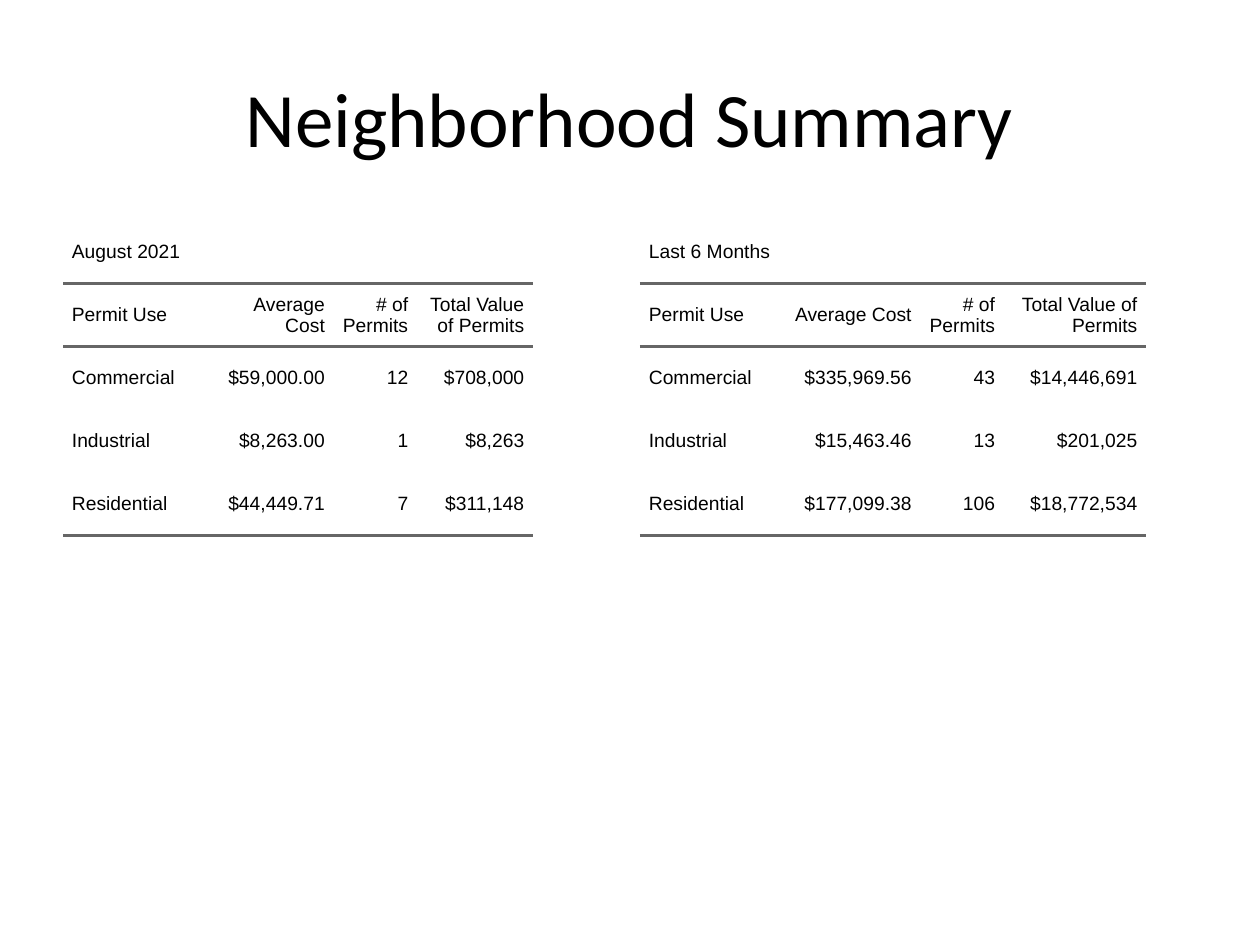
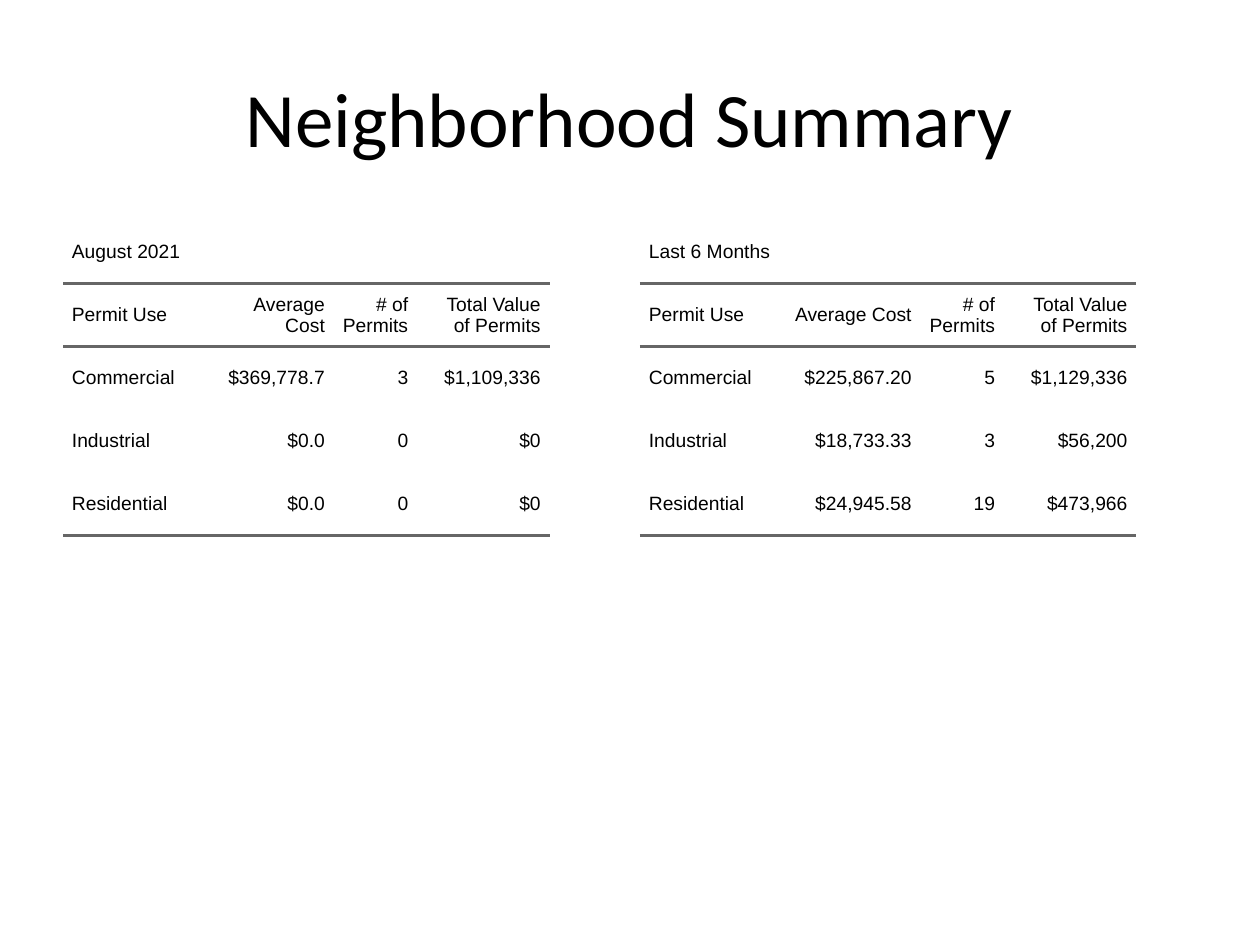
from lxml import etree
from pptx import Presentation, util as u
from pptx.dml.color import RGBColor
from pptx.enum import text
from pptx.oxml import ns

TITLE = "Neighborhood Summary"
HEADERS = ("Permit Use", "Average Cost", "# of Permits", "Total Value of Permits")
USES = ("Commercial", "Industrial", "Residential")
PERIODS = ("August 2021", "Last 6 Months")

# One entry per slide; each holds one table per period:
# widths of the cost and value columns in cm, then the figures for each use
SLIDES = [
    [
        ((2.67, 2.34), [("$59,000.00", "12", "$708,000"),
                        ("$8,263.00", "1", "$8,263"),
                        ("$44,449.71", "7", "$311,148")]),
        ((2.87, 2.87), [("$335,969.56", "43", "$14,446,691"),
                        ("$15,463.46", "13", "$201,025"),
                        ("$177,099.38", "106", "$18,772,534")]),
    ],
    [
        ((2.67, 2.67), [("$369,778.7", "3", "$1,109,336"),
                        ("$0.0", "0", "$0"),
                        ("$0.0", "0", "$0")]),
        ((2.87, 2.67), [("$225,867.20", "5", "$1,129,336"),
                        ("$18,733.33", "3", "$56,200"),
                        ("$24,945.58", "19", "$473,966")]),
    ],
]

COLORS = {"text": "000000", "rule": "666666"}
SLIDE_SIZE = (25.4, 19.05)
TITLE_BOX = (1.27, 0.76, 22.86, 3.18)
TABLE_LEFTS = (1.27, 12.9)
TABLE_TOP = 4.45
ROW_HEIGHT = 1.27
USE_WIDTH, COUNT_WIDTH = 2.79, 1.68
INDENT = 0.18
RULE_WIDTH = u.Pt(2)
PLAIN_STYLE = "{2D5ABB26-0587-4C30-8999-92F81FD0307C}"


def add_text(para, words, font, size, align):
    para.alignment = align
    span = para.add_run()
    span.text = words
    span.font.name = font
    span.font.size = u.Pt(size)
    span.font.color.rgb = RGBColor.from_string(COLORS["text"])


def add_rule(cell, side):
    """Draw a border on one side of a cell: T for top, B for bottom."""
    properties = cell._tc.get_or_add_tcPr()
    line = etree.SubElement(properties, ns.qn(f"a:ln{side}"), w=str(RULE_WIDTH))
    fill = etree.SubElement(line, ns.qn("a:solidFill"))
    etree.SubElement(fill, ns.qn("a:srgbClr"), val=COLORS["rule"])


def fill_cell(cell, words, align, rules):
    cell.margin_left = cell.margin_right = cell.margin_top = cell.margin_bottom = 0
    cell.vertical_anchor = text.MSO_ANCHOR.MIDDLE
    for side in rules:
        add_rule(cell, side)
    cell.fill.background()
    if not words:
        return
    para = cell.text_frame.paragraphs[0]
    para.space_before = para.space_after = u.Pt(5)
    for side in ("marL", "marR"):
        para._p.get_or_add_pPr().set(side, str(u.Cm(INDENT)))
    add_text(para, words, "Arial", 11, align)


def add_permit_table(page, left, period, value_widths, figures):
    cost_width, value_width = value_widths
    widths = (USE_WIDTH, cost_width, COUNT_WIDTH, value_width)
    rows = [(period, "", "", ""), HEADERS]
    rows += [(use, *values) for use, values in zip(USES, figures)]
    table = page.shapes.add_table(
        len(rows), len(widths), u.Cm(left), u.Cm(TABLE_TOP),
        u.Cm(sum(widths)), u.Cm(ROW_HEIGHT * len(rows))).table
    table.first_row = table.horz_banding = False
    table._tbl.tblPr.find(ns.qn("a:tableStyleId")).text = PLAIN_STYLE
    for column, width in zip(table.columns, widths):
        column.width = u.Cm(width)
    table.cell(0, 0).merge(table.cell(0, len(widths) - 1))
    rules = {1: "TB", len(rows) - 1: "B"}
    for r, row in enumerate(rows):
        table.rows[r].height = u.Cm(ROW_HEIGHT)
        for c, words in enumerate(row):
            align = text.PP_ALIGN.RIGHT if c else text.PP_ALIGN.LEFT
            fill_cell(table.cell(r, c), words, align, rules.get(r, ""))


def add_title(page):
    box = page.shapes.title
    box.left, box.top, box.width, box.height = map(u.Cm, TITLE_BOX)
    box.text_frame.vertical_anchor = text.MSO_ANCHOR.MIDDLE
    add_text(box.text_frame.paragraphs[0], TITLE, "Calibri", 44, text.PP_ALIGN.CENTER)


def main():
    deck = Presentation()
    deck.slide_width, deck.slide_height = map(u.Cm, SLIDE_SIZE)
    title_only = deck.slide_layouts[5]
    for tables in SLIDES:
        page = deck.slides.add_slide(title_only)
        add_title(page)
        for left, period, (widths, figures) in zip(TABLE_LEFTS, PERIODS, tables):
            add_permit_table(page, left, period, widths, figures)
    deck.save("out.pptx")


if __name__ == "__main__":
    main()
